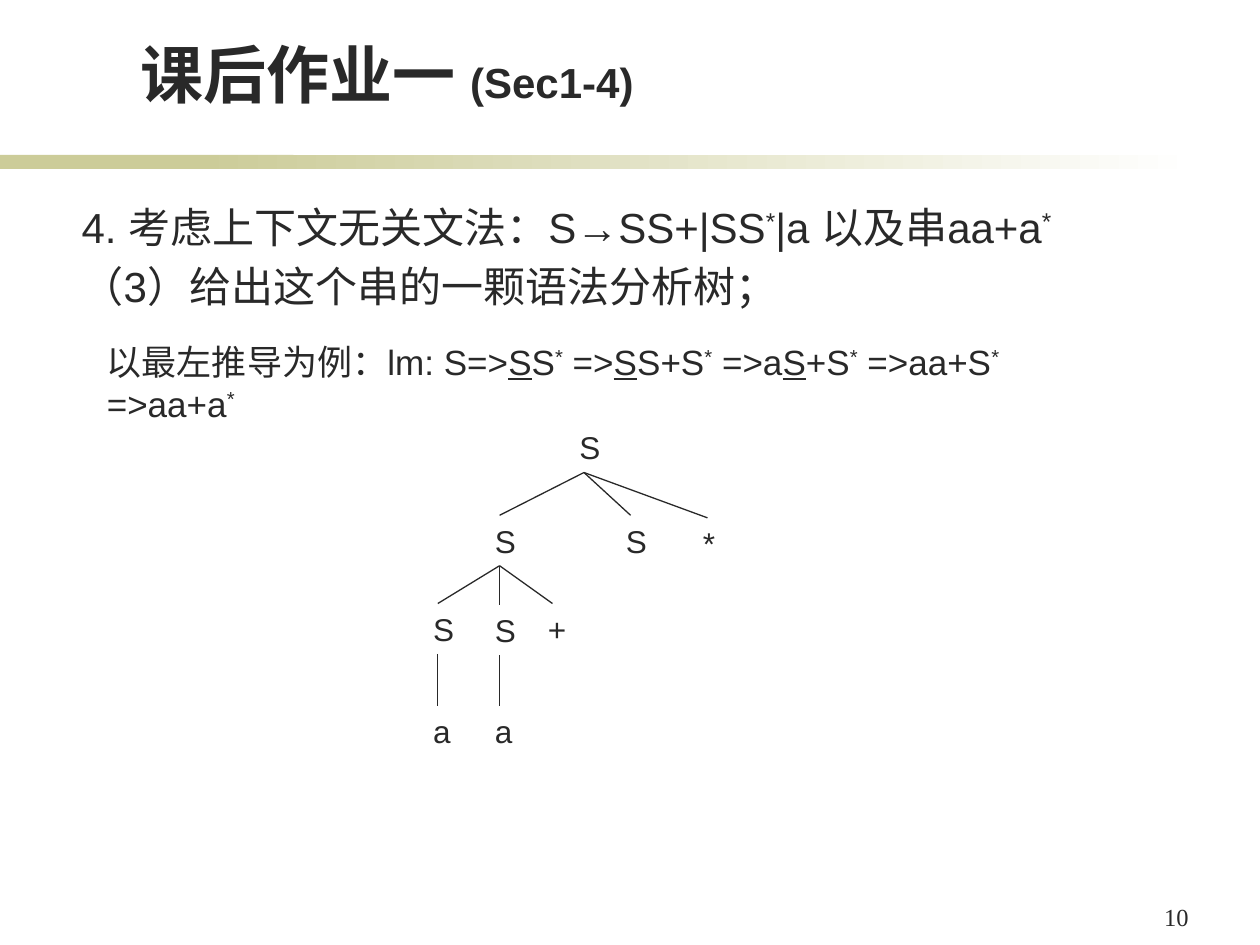
from dataclasses import dataclass
from itertools import groupby

from lxml import etree
from pptx import Presentation
from pptx.dml.color import RGBColor
from pptx.enum.shapes import MSO_CONNECTOR, MSO_SHAPE
from pptx.enum.text import MSO_ANCHOR, PP_ALIGN
from pptx.oxml.ns import qn
from pptx.util import Inches, Pt

RECT = MSO_SHAPE.RECTANGLE
LINE = MSO_CONNECTOR.STRAIGHT
LEFT, MID = PP_ALIGN.LEFT, PP_ALIGN.CENTER
TOP, LOW = MSO_ANCHOR.TOP, MSO_ANCHOR.BOTTOM
COLS, ROWS = 100, 75


@dataclass(frozen=True)
class Theme:
    ink: RGBColor = RGBColor(0x29, 0x29, 0x29)
    band: RGBColor = RGBColor(0xCC, 0xCC, 0x99)
    page: RGBColor = RGBColor(0xFF, 0xFF, 0xFF)
    sans: str = "Arial"
    serif: str = "Times New Roman"
    title: int = 36
    body: int = 24
    note: int = 20
    node: int = 18
    foot: int = 14
    rule: float = 0.75


def marks(text):
    """Yield (style, text): ^ raises the next letter, _ underlines it."""
    pairs, style = [], ""
    for char in text:
        if char in "^_":
            style = char
        else:
            pairs.append((style, char))
            style = ""
    for style, group in groupby(pairs, key=lambda pair: pair[0]):
        yield style, "".join(char for _, char in group)


class Deck:
    def __init__(self, theme):
        self.theme = theme
        self.file = Presentation()
        self.file.slide_width, self.file.slide_height = Inches(10), Inches(7.5)
        self.wide = self.file.slide_width / COLS
        self.high = self.file.slide_height / ROWS
        self.slide = self.file.slides.add_slide(self.file.slide_layouts[6])

    def grid(self, *cells):
        """Turn alternating columns and rows into lengths."""
        return [round(n * (self.high if i % 2 else self.wide))
                for i, n in enumerate(cells)]

    def band(self, cells, fade=False):
        shape = self.slide.shapes.add_shape(RECT, *self.grid(*cells))
        shape.shadow.inherit = False
        shape.line.fill.background()
        if fade:
            shape.fill.gradient()
            shape.fill.gradient_angle = 0
            stops = shape.fill.gradient_stops
            for stop, tint in zip(stops, (self.theme.band, self.theme.page)):
                stop.color.rgb = tint
        else:
            shape.fill.solid()
            shape.fill.fore_color.rgb = self.theme.band

    def text(self, cells, lines, size, face=None, align=LEFT, anchor=TOP, gap=0):
        """Each line is a list of (text, size, bold) parts or one string."""
        frame = self.slide.shapes.add_textbox(*self.grid(*cells)).text_frame
        frame.word_wrap = True
        frame.vertical_anchor = anchor
        for i, line in enumerate(lines):
            para = frame.add_paragraph() if i else frame.paragraphs[0]
            para.alignment = align
            para.space_before = Pt(gap)
            parts = [(line, size, False)] if isinstance(line, str) else line
            for words, points, bold in parts:
                for style, piece in marks(words):
                    run = para.add_run()
                    run.text = piece
                    font = run.font
                    font.name = face or self.theme.sans
                    font.size, font.bold = Pt(points), bold
                    font.color.rgb = self.theme.ink
                    if style == "_":
                        font.underline = True
                    elif style == "^":
                        run._r.get_or_add_rPr().set("baseline", "30000")

    def line(self, ends):
        link = self.slide.shapes.add_connector(LINE, *self.grid(*ends))
        link.line.color.rgb = self.theme.ink
        link.line.width = Pt(self.theme.rule)
        etree.SubElement(link._element.spPr, qn("a:effectLst"))

    def tree(self, nodes, wide=2.7, high=4):
        """Draw each node and a line down to it from its parent."""
        half = wide / 2
        for label, col, row, top in nodes.values():
            self.text((col, row, wide, high), [label], self.theme.node, align=MID)
            if top:
                _, x, y, _ = nodes[top]
                self.line((x + half, y + high, col + half, row))

    def save(self):
        self.file.save("out.pptx")


def main():
    theme = Theme()
    deck = Deck(theme)

    # Band under the title
    deck.band((0, 12.3, 23.3, 1.1))
    deck.band((15.8, 12.3, 79.2, 1.1), fade=True)

    # Title
    deck.text((10.2, 2.3, 73.4, 7),
              [[("课后作业一 ", theme.title, True), ("(Sec1-4)", theme.body, True)]],
              theme.title, anchor=LOW)

    # Exercise
    deck.text((5.5, 15.5, 89, 48),
              ["4. 考虑上下文无关文法：S→SS+|SS^*|a 以及串aa+a^*",
               "（3）给出这个串的一颗语法分析树；"],
              theme.body, gap=4.8)

    # Leftmost derivation
    deck.text((7.5, 26.5, 81.4, 4.4),
              ["以最左推导为例：lm: S=>_SS^* =>_SS+S^* =>a_S+S^* =>aa+S^* =>aa+a^*"],
              theme.note)

    # Parse tree: label, column, row, parent
    deck.tree({
        "root": ("S", 45, 33.5, None),
        "sum": ("S", 38.3, 40.9, "root"),
        "right": ("S", 48.7, 40.9, "root"),
        "star": ("*", 54.8, 41.1, "root"),
        "first": ("S", 33.4, 47.9, "sum"),
        "next": ("S", 38.3, 48, "sum"),
        "plus": ("+", 42.5, 47.9, "sum"),
        "leaf one": ("a", 33.4, 56, "first"),
        "leaf two": ("a", 38.3, 56, "next"),
    })

    # Page number
    deck.text((91.4, 71.1, 4.7, 3.4), ["10"], theme.foot, face=theme.serif)

    deck.save()


if __name__ == "__main__":
    main()
